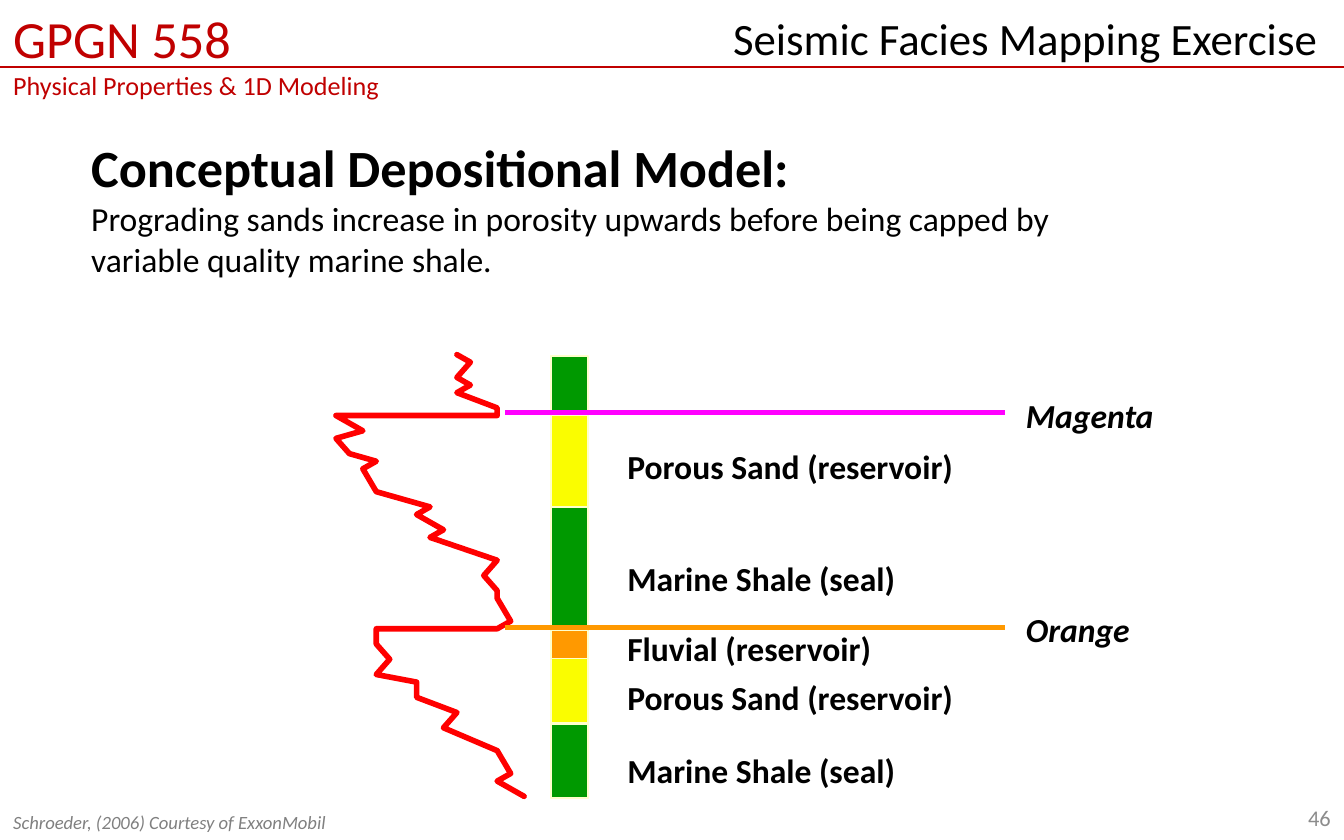
from lxml import etree
from pptx import Presentation
from pptx.dml.color import RGBColor
from pptx.enum import shapes, text
from pptx.oxml.ns import qn
from pptx.util import Pt

BLACK = RGBColor(0x00, 0x00, 0x00)
CRIMSON = RGBColor(0xC0, 0x00, 0x00)
RED = RGBColor(0xFF, 0x00, 0x00)
GREEN = RGBColor(0x00, 0x99, 0x00)
YELLOW = RGBColor(0xFA, 0xFD, 0x00)
ORANGE = RGBColor(0xFF, 0x99, 0x00)
MAGENTA = RGBColor(0xFF, 0x00, 0xFF)
CREAM = RGBColor(0xFF, 0xFF, 0xCC)
GRAY = RGBColor(0x80, 0x80, 0x80)
LIGHT_GRAY = RGBColor(0x8C, 0x8C, 0x8C)
FONT = "Calibri"

LOG_UNIT_X, LOG_UNIT_Y = 7.2, 4.08
LOG_CURVE = [
    (9, 0), (10, 1), (9, 3), (10, 4), (9, 5), (12, 7), (12, 8), (0, 8),
    (2, 10), (0, 11), (1, 13), (3, 14), (2, 15), (3, 18), (7, 20), (6, 21),
    (8, 23), (7, 24), (12, 27), (11, 29), (12, 31), (12, 32), (13, 35),
    (12, 36), (3, 36), (3, 38), (4, 40), (3, 42), (6, 43), (6, 45), (9, 47),
    (8, 49), (12, 52), (13, 55), (12, 56), (14, 58),
]
STRATA = [
    (142.6, 29.5, ORANGE), (0.8, 32.4, GREEN), (162.8, 34.6, YELLOW),
    (198, 39.6, GREEN), (80.7, 67, GREEN), (32.5, 49, YELLOW),
]
LITHOLOGY = [
    (45.4, "Porous Sand (reservoir)"), (105.2, "Marine Shale (seal)"),
    (142.6, "Fluvial (reservoir)"), (169.3, "Porous Sand (reservoir)"),
    (208.2, "Marine Shale (seal)"),
]
HORIZONS = [(31, 18.1, "Magenta", MAGENTA), (146.2, 132.6, "Orange", ORANGE)]


def add_text(s, box, lines, align=text.PP_ALIGN.LEFT, wrap=True, right=7.2,
             anchor=text.MSO_ANCHOR.TOP):
    """Add a text box with one paragraph per (text, size, colour, bold, italic)."""
    tf = s.shapes.add_textbox(*map(Pt, box)).text_frame
    tf.word_wrap = wrap
    tf.vertical_anchor = anchor
    tf.margin_right = Pt(right)
    for i, (words, size, color, bold, italic) in enumerate(lines):
        p = tf.add_paragraph() if i else tf.paragraphs[0]
        p.alignment = align
        r = p.add_run()
        r.text = words
        r.font.name, r.font.size = FONT, Pt(size)
        r.font.bold, r.font.italic = bold, italic
        r.font.color.rgb = color


def add_line(s, x1, x2, y, color, width):
    """Add a horizontal rule without a shadow."""
    sp = s.shapes.add_connector(shapes.MSO_CONNECTOR.STRAIGHT,
                                Pt(x1), Pt(y), Pt(x2), Pt(y))
    sp.line.color.rgb = color
    sp.line.width = Pt(width)
    etree.SubElement(sp._element.spPr, qn("a:effectLst"))


def add_header(s, x, y, w, h):
    """Place the course name, the slide title and the rule between them."""
    add_text(s, (x, y, 228, 84),
             [("GPGN 558", 28, CRIMSON, False, False),
              ("Physical Properties & 1D Modeling", 14, CRIMSON, False, False)],
             right=14.4)
    add_line(s, x - 1.4, x + w + 0.7, y + h, CRIMSON, 1.25)
    add_text(s, (x + w - 426.2, y + 2.2, 426.2, h),
             [("Seismic Facies Mapping Exercise", 24, BLACK, False, False)],
             text.PP_ALIGN.RIGHT, right=14.4)


def add_summary(s, x, y, w, h):
    """Place the heading and the statement of the model."""
    add_text(s, (x, y, w, h),
             [("Conceptual Depositional Model:", 28, BLACK, True, False),
              ("Prograding sands increase in porosity upwards before being "
               "capped by variable quality marine shale.",
               18, BLACK, False, False)])


def add_log_curve(s, x, y):
    """Draw the well log curve on its unit grid."""
    points = [(Pt(x + cx * LOG_UNIT_X), Pt(y + cy * LOG_UNIT_Y))
              for cx, cy in LOG_CURVE]
    fb = s.shapes.build_freeform(*points[0])
    fb.add_line_segments(points[1:], close=False)
    sp = fb.convert_to_shape()
    sp.shadow.inherit = False
    sp.fill.background()
    sp.line.color.rgb = RED
    sp.line.width = Pt(3)
    ln = sp.line._get_or_add_ln()
    ln.set("cap", "rnd")
    etree.SubElement(ln, qn("a:round"))


def add_model(s, x, y):
    """Place the log curve, strata column, lithology labels and horizons."""
    add_log_curve(s, x, y)
    for top, height, color in STRATA:
        sp = s.shapes.add_shape(shapes.MSO_SHAPE.RECTANGLE, Pt(x + 115.2),
                                Pt(y + top), Pt(20), Pt(height))
        sp.shadow.inherit = False
        sp.fill.solid()
        sp.fill.fore_color.rgb = color
        sp.line.color.rgb = CREAM
        sp.line.width = Pt(1)
    for top, label in LITHOLOGY:
        add_text(s, (x + 149, y + top, 190, 29),
                 [(label, 18, BLACK, True, False)], wrap=False)
    for line_y, label_y, label, color in HORIZONS:
        add_line(s, x + 90.7, x + 358.2, y + line_y, color, 3)
        add_text(s, (x + 362.5, y + label_y, 83, 29),
                 [(label, 18, BLACK, True, True)], wrap=False)


def add_footer(s, x, y, w, h):
    """Place the source credit and the slide number."""
    add_text(s, (x, y + 4.3, 306, h - 4.3),
             [("Schroeder, (2006) Courtesy of ExxonMobil", 10, GRAY, False, True)],
             anchor=text.MSO_ANCHOR.MIDDLE)
    add_text(s, (x + w - 168, y, 168, h),
             [("46", 12, LIGHT_GRAY, False, False)],
             text.PP_ALIGN.RIGHT, anchor=text.MSO_ANCHOR.MIDDLE)


def main():
    """Build and save the slide."""
    prs = Presentation()
    prs.slide_width, prs.slide_height = Pt(720), Pt(450)
    s = prs.slides.add_slide(prs.slide_layouts[6])
    add_header(s, 0, 0, 720, 36)
    add_summary(s, 41.8, 69.1, 540, 119)
    add_model(s, 180, 190)
    add_footer(s, 0, 426.2, 720, 23.8)
    prs.save("out.pptx")


if __name__ == "__main__":
    main()
